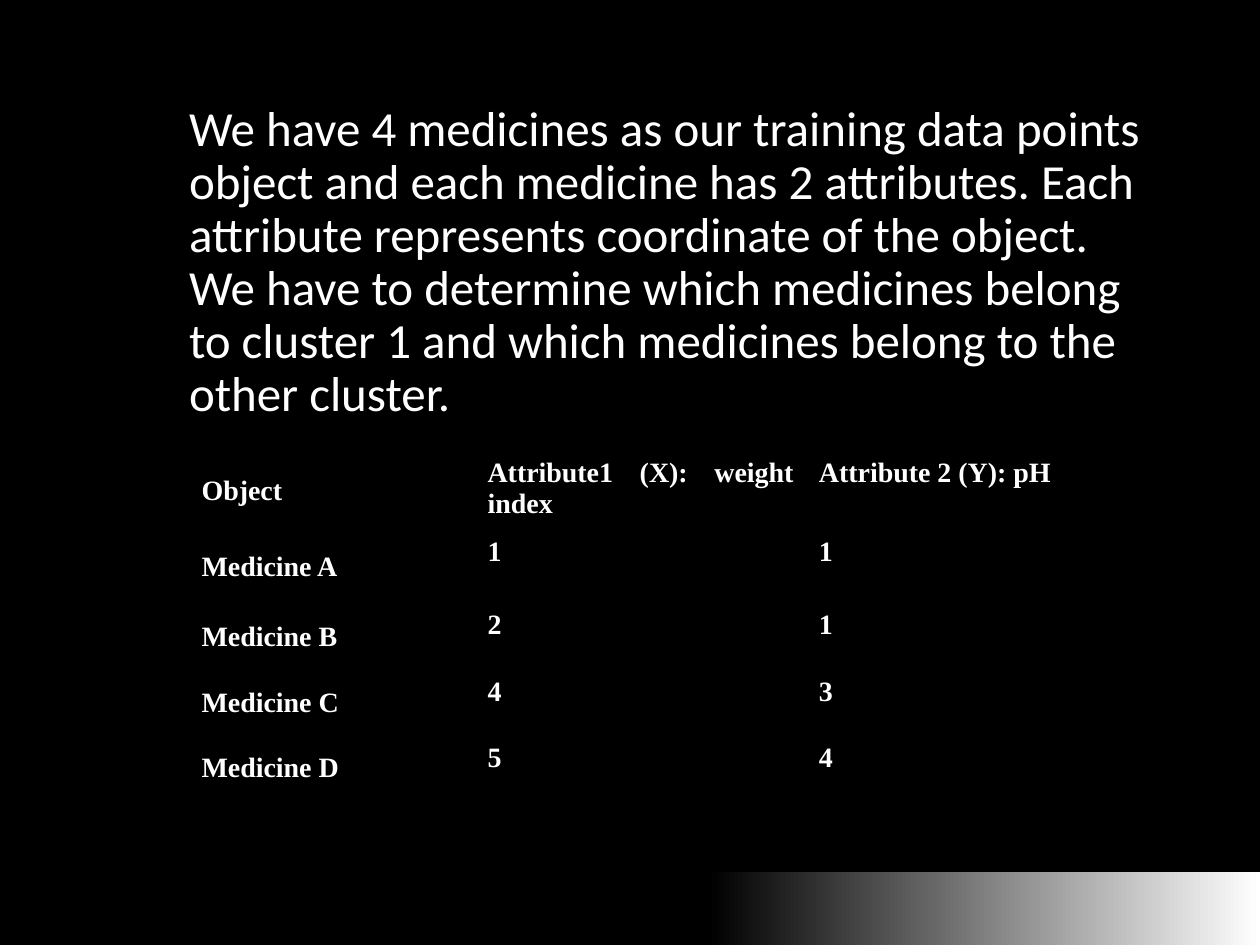
from lxml import etree
from pptx import Presentation
from pptx import util as u
from pptx.dml.color import RGBColor
from pptx.enum import shapes, text
from pptx.oxml.ns import qn

BLACK = RGBColor(0x00, 0x00, 0x00)
WHITE = RGBColor(0xFF, 0xFF, 0xFF)

ROWS = [
    ("Object", "Attribute1 (X): weight index", "Attribute 2 (Y): pH"),
    ("Medicine A", "1", "1"),
    ("Medicine B", "2", "1"),
    ("Medicine C", "4", "3"),
    ("Medicine D", "5", "4"),
]
COLUMN_WIDTHS = [2.27, 2.63, 2.52]
ROW_HEIGHTS = [0.63, 0.58, 0.53, 0.52, 0.51]


def add_borders(cell, color, width):
    properties = cell._tc.get_or_add_tcPr()
    for index, side in enumerate(("a:lnL", "a:lnR", "a:lnT", "a:lnB")):
        line = etree.Element(qn(side), w=str(int(width)))
        fill = etree.SubElement(line, qn("a:solidFill"))
        etree.SubElement(fill, qn("a:srgbClr"), val=str(color))
        properties.insert(index, line)


presentation = Presentation()
presentation.slide_width = u.Inches(10)
presentation.slide_height = u.Inches(7.5)
slide = presentation.slides.add_slide(presentation.slide_layouts[0])
slide.background.fill.solid()
slide.background.fill.fore_color.rgb = BLACK

title = slide.shapes.title
title.element.getparent().remove(title.element)

band = slide.shapes.add_shape(
    shapes.MSO_SHAPE.RECTANGLE,
    u.Inches(5.62), u.Inches(6.92), u.Inches(4.38), u.Inches(0.58))
band.shadow.inherit = False
band.line.fill.background()
band.fill.gradient()
band.fill.gradient_angle = 0
for stop, color in zip(band.fill.gradient_stops, (BLACK, WHITE)):
    stop.color.rgb = color

body = slide.placeholders[1]
body.left, body.top = u.Inches(1.5), u.Inches(0.83)
body.width, body.height = u.Inches(7.7), u.Inches(2.5)
frame = body.text_frame
frame.word_wrap = True
frame.auto_size = text.MSO_AUTO_SIZE.NONE
frame.vertical_anchor = text.MSO_ANCHOR.TOP
frame.margin_left = frame.margin_right = frame.margin_top = frame.margin_bottom = 0
frame.text = (
    "We have 4 medicines as our training data points object and each medicine "
    "has 2 attributes. Each attribute represents coordinate of the object. "
    "We have to determine which medicines belong to cluster 1 and which "
    "medicines belong to the other cluster.")
paragraph = frame.paragraphs[0]
paragraph.alignment = text.PP_ALIGN.LEFT
paragraph.line_spacing = 0.9
paragraph.space_before = u.Pt(0)
paragraph.font.name = "Calibri"
paragraph.font.size = u.Pt(28)
paragraph.font.color.rgb = WHITE

table = slide.shapes.add_table(
    len(ROWS), len(COLUMN_WIDTHS), u.Inches(1.5), u.Inches(3.58),
    u.Inches(sum(COLUMN_WIDTHS)), u.Inches(sum(ROW_HEIGHTS))).table
table.first_row = False
table.horz_banding = False
for column, width in zip(table.columns, COLUMN_WIDTHS):
    column.width = u.Inches(width)
for row, height, values in zip(table.rows, ROW_HEIGHTS, ROWS):
    row.height = u.Inches(height)
    for index, (cell, value) in enumerate(zip(row.cells, values)):
        cell.text = value
        cell.fill.background()
        cell.vertical_anchor = text.MSO_ANCHOR.TOP if index else text.MSO_ANCHOR.MIDDLE
        add_borders(cell, BLACK, u.Pt(0.75))
        paragraph = cell.text_frame.paragraphs[0]
        paragraph.alignment = text.PP_ALIGN.JUSTIFY
        paragraph.font.name = "Times New Roman"
        paragraph.font.size = u.Pt(16)
        paragraph.font.bold = True
        paragraph.font.color.rgb = WHITE

presentation.save("out.pptx")
